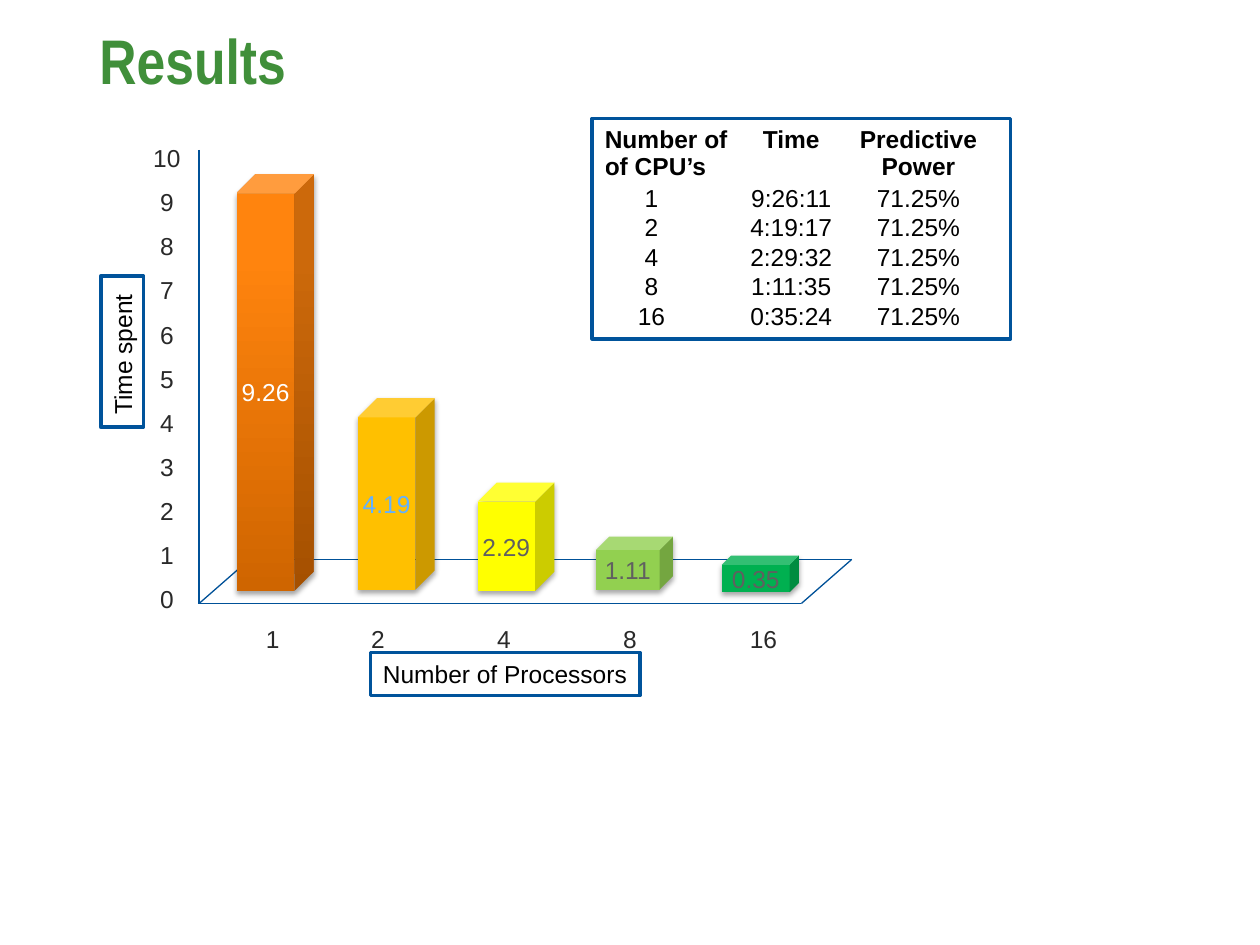
from dataclasses import dataclass

from lxml.etree import SubElement
from pptx import Presentation
from pptx.dml.color import RGBColor
from pptx.enum.shapes import MSO_CONNECTOR, MSO_SHAPE
from pptx.enum.text import MSO_ANCHOR, PP_ALIGN
from pptx.oxml.ns import qn
from pptx.util import Inches, Pt


@dataclass(frozen=True)
class Theme:
    font: str = "Arial"
    title_font: str = "Arial Narrow"
    title_size: float = 36
    size: float = 14
    title: str = "408F3A"
    text: str = "000000"
    tick: str = "292929"
    frame: str = "00539B"
    axis: str = "005198"
    paper: str = "FFFFFF"
    bar_text: str = "606060"


@dataclass(frozen=True)
class Bar:
    label: str
    left: float
    top: float
    height: float
    fills: tuple[str, ...]
    color: str


T = Theme()
BAR_WIDTH = 0.61
BARS = [
    Bar("9.26", 1.88, 1.38, 3.31, ("CF6500", "FF840E"), T.paper),
    Bar("4.19", 2.84, 3.16, 1.52, ("FFC000",), "62B1FF"),
    Bar("2.29", 3.79, 3.83, 0.86, ("FFFF00",), T.bar_text),
    Bar("1.11", 4.73, 4.26, 0.42, ("92D050",), T.bar_text),
    Bar("0.35", 5.73, 4.41, 0.29, ("00B050",), T.bar_text),
]
AXIS_LINES = [
    ((1.58, 1.19), (1.58, 4.79)),
    ((1.58, 4.79), (6.36, 4.79)),
    ((1.98, 4.44), (6.76, 4.44)),
    ((1.98, 4.44), (1.58, 4.79)),
    ((6.76, 4.44), (6.36, 4.79)),
]
TABLE_ROWS = [
    ("Number of\nof CPU’s", "Time", "Predictive\nPower"),
    ("1", "9:26:11", "71.25%"),
    ("2", "4:19:17", "71.25%"),
    ("4", "2:29:32", "71.25%"),
    ("8", "1:11:35", "71.25%"),
    ("16", "0:35:24", "71.25%"),
]
COLUMN_WIDTHS = (1.0, 0.96, 1.06)
LINE_HEIGHT = 0.23


def rgb(value: str) -> RGBColor:
    return RGBColor.from_string(value)


def style_text(tf, color, font=T.font, size=T.size, bold=False,
               align=PP_ALIGN.LEFT, spacing=1.0) -> None:
    for p in tf.paragraphs:
        p.alignment = align
        p.line_spacing = spacing
        for r in p.runs:
            r.font.name, r.font.size, r.font.bold = font, Pt(size), bold
            r.font.color.rgb = rgb(color)


def add_text(s, text: str, at: tuple, color: str, **style):
    sp = s.shapes.add_textbox(*map(Inches, at))
    tf = sp.text_frame
    tf.word_wrap = True
    tf.text = text
    style_text(tf, color, **style)
    return tf


def add_frame(s, at: tuple, text: str = "", rotation: float = 0) -> None:
    """Draw a white box with a blue outline and an optional label."""
    sp = s.shapes.add_shape(MSO_SHAPE.RECTANGLE, *map(Inches, at))
    sp.shadow.inherit = False
    sp.rotation = rotation
    sp.fill.solid()
    sp.fill.fore_color.rgb = rgb(T.paper)
    sp.line.color.rgb = rgb(T.frame)
    sp.line.width = Pt(2)
    if text:
        sp.text_frame.word_wrap = False
        sp.text_frame.text = text
        style_text(sp.text_frame, T.text)


def add_line(s, start: tuple, end: tuple) -> None:
    cx = s.shapes.add_connector(MSO_CONNECTOR.STRAIGHT, *map(Inches, start + end))
    cx.line.color.rgb = rgb(T.axis)
    cx.line.width = Pt(0.75)
    SubElement(cx._element.spPr, qn("a:effectLst"))


def add_drop_shadow(sp) -> None:
    sp.shadow.inherit = False
    effects = sp._element.spPr.find(qn("a:effectLst"))
    shadow = SubElement(effects, qn("a:outerShdw"), blurRad=str(Pt(3.1)),
                        dist=str(Pt(1.8)), dir="5400000", rotWithShape="0")
    color = SubElement(shadow, qn("a:srgbClr"), val="000000")
    SubElement(color, qn("a:alpha"), val="35000")


def add_bar(s, bar: Bar) -> None:
    box = (bar.left, bar.top, BAR_WIDTH, bar.height)
    sp = s.shapes.add_shape(MSO_SHAPE.CUBE, *map(Inches, box))
    if len(bar.fills) > 1:
        sp.fill.gradient()
        sp.fill.gradient_angle = 90
        for stop, color, position in zip(sp.fill.gradient_stops, bar.fills, (0, 0.8)):
            stop.color.rgb = rgb(color)
            stop.position = position
    else:
        sp.fill.solid()
        sp.fill.fore_color.rgb = rgb(bar.fills[0])
    sp.line.fill.background()
    add_drop_shadow(sp)
    tf = sp.text_frame
    tf.word_wrap = False
    tf.vertical_anchor = MSO_ANCHOR.MIDDLE
    tf.text = bar.label
    style_text(tf, bar.color, align=PP_ALIGN.CENTER)


def add_results_table(s, left: float, top: float) -> None:
    heights = [LINE_HEIGHT * (2 if i == 0 else 1) for i in range(len(TABLE_ROWS))]
    size = (sum(COLUMN_WIDTHS), sum(heights))
    table = s.shapes.add_table(len(TABLE_ROWS), len(COLUMN_WIDTHS),
                               *map(Inches, (left, top) + size)).table
    table.first_row = table.horz_banding = False
    for column, width in zip(table.columns, COLUMN_WIDTHS):
        column.width = Inches(width)
    for i, (values, height) in enumerate(zip(TABLE_ROWS, heights)):
        table.rows[i].height = Inches(height)
        for j, value in enumerate(values):
            cell = table.cell(i, j)
            cell.fill.solid()
            cell.fill.fore_color.rgb = rgb(T.paper)
            cell.margin_left = cell.margin_top = cell.margin_bottom = 0
            cell.margin_right = Inches(0.26 if i and j == 0 else 0)
            cell.text_frame.text = value
            align = PP_ALIGN.LEFT if i == j == 0 else PP_ALIGN.CENTER
            style_text(cell.text_frame, T.text, bold=i == 0, align=align)


def add_category_labels(s) -> None:
    tf = add_text(s, "1\t2\t4\t8\t16", (1.83, 4.79, 4.46, 0.45), T.tick, spacing=1.5)
    tf.margin_left = Inches(0.28)
    tabs = SubElement(tf.paragraphs[0]._p.get_or_add_pPr(), qn("a:tabLst"))
    for position in (0.89, 1.89, 2.89, 3.95):
        SubElement(tabs, qn("a:tab"), pos=str(Inches(position)), algn="ctr")


def main() -> None:
    prs = Presentation()
    prs.slide_width, prs.slide_height = Inches(10), Inches(7.5)
    s = prs.slides.add_slide(prs.slide_layouts[6])

    title = add_text(s, "Results", (0.69, 0.19, 8.97, 1.15), T.title,
                     font=T.title_font, size=T.title_size, bold=True, spacing=0.83)
    title.margin_top = Inches(0.08)
    add_frame(s, (4.7, 0.94, 3.32, 1.75))
    add_results_table(s, 4.8, 1.0)

    add_text(s, "\n".join(str(n) for n in range(10, -1, -1)), (1.06, 0.97, 0.53, 3.99),
             T.tick, align=PP_ALIGN.CENTER, spacing=1.5)
    add_category_labels(s)
    add_frame(s, (0.37, 2.62, 1.2, 0.34), "Time spent", rotation=270)
    add_frame(s, (2.94, 5.18, 2.14, 0.34), "Number of Processors")
    for start, end in AXIS_LINES:
        add_line(s, start, end)
    for bar in BARS:
        add_bar(s, bar)
    prs.save("out.pptx")


if __name__ == "__main__":
    main()
